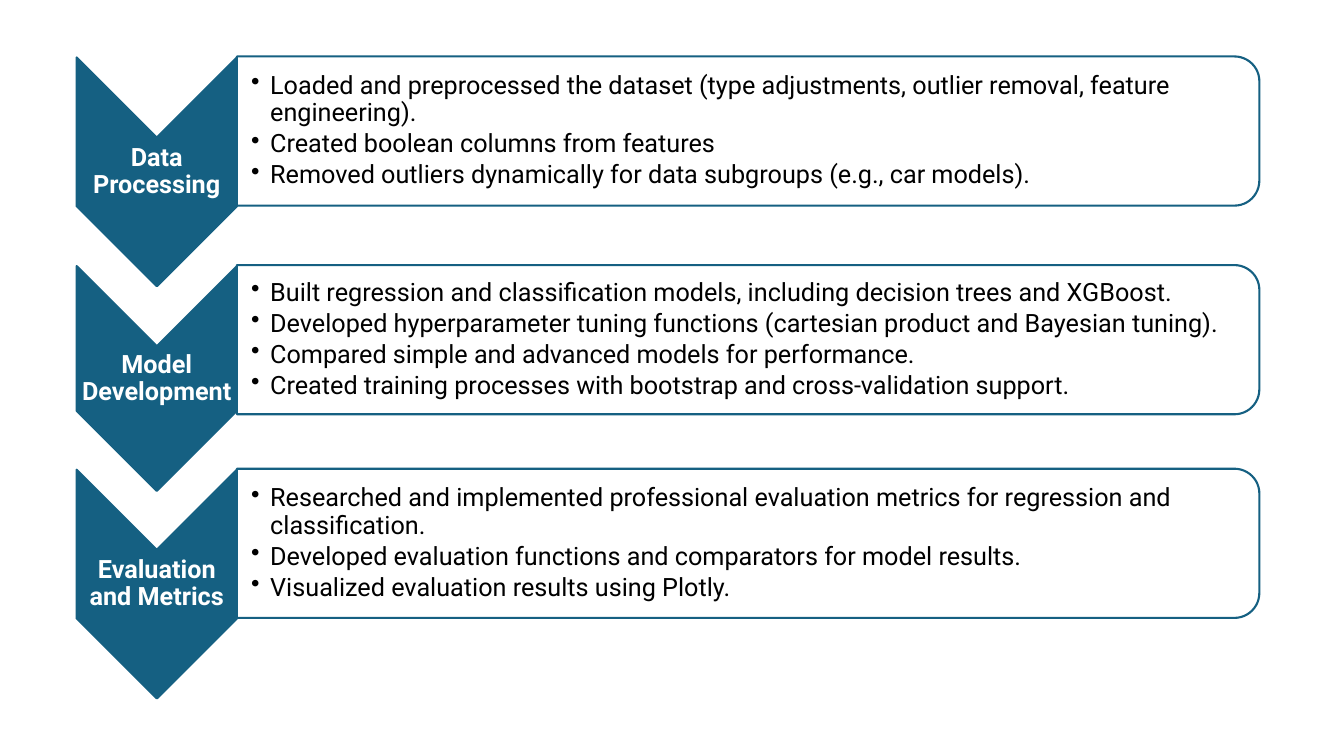
from pptx import Presentation
from pptx import util as u
from pptx.dml.color import RGBColor
from pptx.enum import shapes, text
from pptx.oxml.ns import qn
from lxml import etree

TEAL = RGBColor(0x15, 0x60, 0x82)
WHITE = RGBColor(0xFF, 0xFF, 0xFF)
BLACK = RGBColor(0x00, 0x00, 0x00)

LEFT = 0.76
CHEVRON_WIDTH = 1.59
PANEL_WIDTH = 10.14
PANEL_HEIGHT = 1.48
INDENT = 0.19

STAGES = [
    (0.57, 2.27, "Data Processing", [
        "Loaded and preprocessed the dataset (type adjustments, outlier removal, feature engineering).",
        "Created boolean columns from features",
        "Removed outliers dynamically for data subgroups (e.g., car models).",
    ]),
    (2.64, 2.23, "Model Development", [
        "Built regression and classification models, including decision trees and XGBoost.",
        "Developed hyperparameter tuning functions (cartesian product and Bayesian tuning).",
        "Compared simple and advanced models for performance.",
        "Created training processes with bootstrap and cross-validation support.",
    ]),
    (4.66, 2.27, "Evaluation and Metrics", [
        "Researched and implemented professional evaluation metrics for regression and classification.",
        "Developed evaluation functions and comparators for model results.",
        "Visualized evaluation results using Plotly.",
    ]),
]


def add_turned_shape(slide, kind, left, top, width, height, fill):
    turned = slide.shapes.add_shape(
        kind,
        u.Inches(left + (width - height) / 2),
        u.Inches(top + (height - width) / 2),
        u.Inches(height),
        u.Inches(width),
    )
    turned.rotation = 90
    turned.shadow.inherit = False
    turned.fill.solid()
    turned.fill.fore_color.rgb = fill
    turned.line.color.rgb = TEAL
    turned.line.width = u.Pt(1.5)
    return turned


def add_lines(slide, left, top, width, height, lines, inset, color, space_after):
    box = slide.shapes.add_textbox(
        u.Inches(left), u.Inches(top), u.Inches(width), u.Inches(height))
    frame = box.text_frame
    frame.word_wrap = True
    frame.vertical_anchor = text.MSO_ANCHOR.MIDDLE
    frame.margin_left = u.Inches(inset)
    frame.margin_top = frame.margin_right = frame.margin_bottom = u.Inches(0.01)
    frame.text = "\n".join(lines)
    for paragraph in frame.paragraphs:
        paragraph.line_spacing = 0.9
        paragraph.space_after = u.Pt(space_after)
        paragraph.font.name = "Roboto"
        paragraph.font.size = u.Pt(18)
        paragraph.font.color.rgb = color
    return frame.paragraphs


def add_bullet(paragraph):
    paragraph.level = 1
    properties = paragraph._p.get_or_add_pPr()
    properties.set("marL", str(u.Inches(INDENT)))
    properties.set("indent", str(-u.Inches(INDENT)))
    bullet = etree.Element(qn("a:buChar"), char="•")
    properties.find(qn("a:defRPr")).addprevious(bullet)


def add_stage_chevron(slide, left, top, height, title):
    add_turned_shape(slide, shapes.MSO_SHAPE.CHEVRON,
                     left, top, CHEVRON_WIDTH, height, TEAL)
    label = add_lines(slide, left, top + CHEVRON_WIDTH / 2, CHEVRON_WIDTH,
                      height - CHEVRON_WIDTH, [title], 0.01, WHITE, 6.3)[0]
    label.alignment = text.PP_ALIGN.CENTER
    label.font.bold = True


def add_task_panel(slide, left, top, tasks):
    panel = add_turned_shape(slide, shapes.MSO_SHAPE.ROUND_2_SAME_RECTANGLE,
                             left, top, PANEL_WIDTH, PANEL_HEIGHT, WHITE)
    fill_color = panel._element.spPr.find(qn("a:solidFill"))[0]
    etree.SubElement(fill_color, qn("a:alpha"), val="90000")
    for task in add_lines(slide, left, top + 0.07, PANEL_WIDTH - 0.07,
                          PANEL_HEIGHT - 0.14, tasks, 0.14, BLACK, 2.7):
        add_bullet(task)


def main():
    deck = Presentation()
    deck.slide_width = u.Inches(13.33)
    deck.slide_height = u.Inches(7.5)
    slide = deck.slides.add_slide(deck.slide_layouts[6])
    for top, chevron_height, title, tasks in STAGES:
        add_stage_chevron(slide, LEFT, top, chevron_height, title)
        add_task_panel(slide, LEFT + CHEVRON_WIDTH, top - 0.01, tasks)
    deck.save("out.pptx")


if __name__ == "__main__":
    main()
